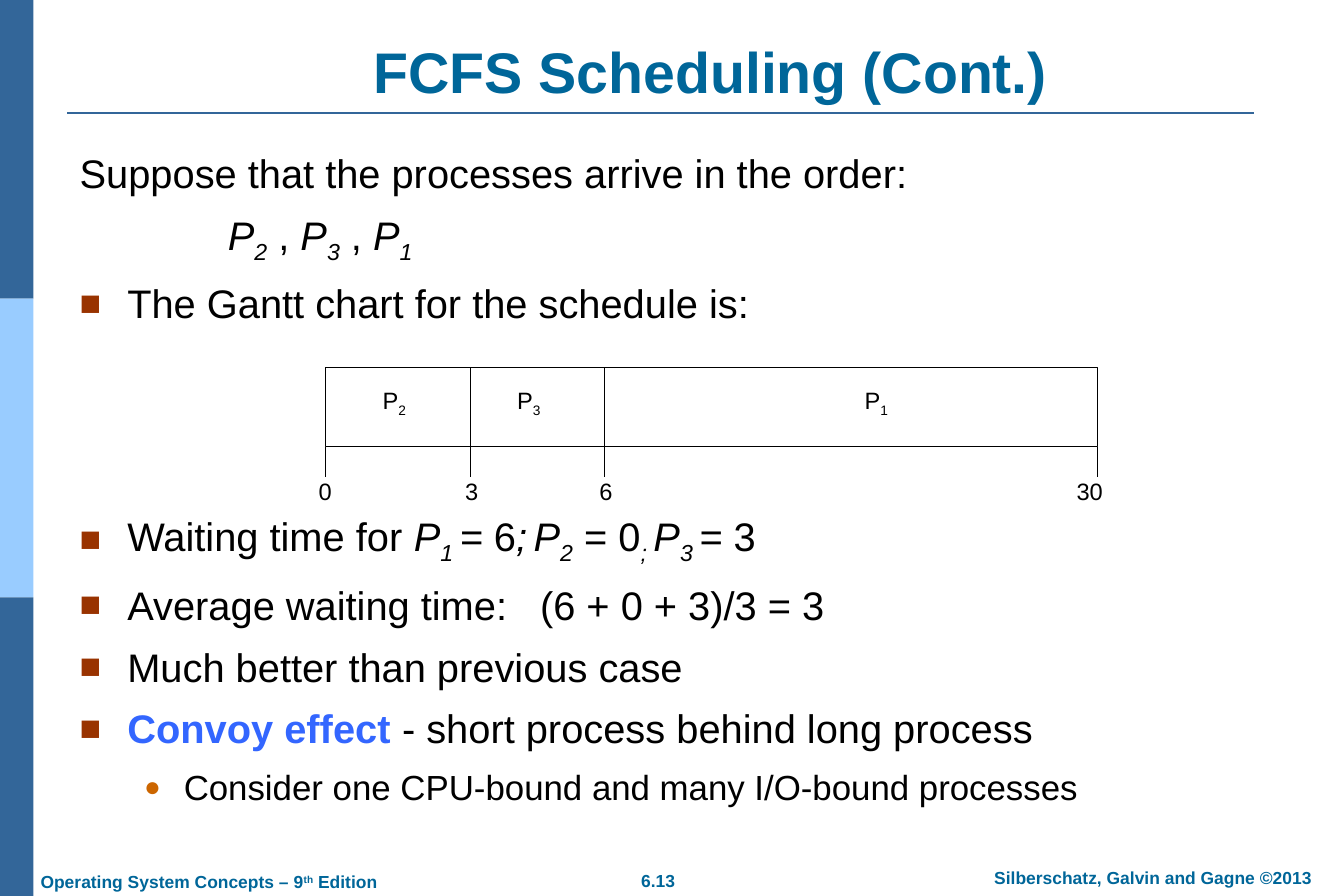
from lxml.etree import SubElement
from pptx import Presentation
from pptx.dml.color import RGBColor
from pptx.enum.shapes import MSO_CONNECTOR as Connector, MSO_SHAPE as Shape
from pptx.enum.text import MSO_ANCHOR as Anchor, PP_ALIGN as Align
from pptx.oxml.ns import qn
from pptx.util import Cm, Pt

FONT = "Arial"
WHITE = RGBColor(0xFF, 0xFF, 0xFF)
BLACK = RGBColor(0x00, 0x00, 0x00)
STEEL = RGBColor(0x33, 0x66, 0x99)
SKY = RGBColor(0x99, 0xCC, 0xFF)
TEAL = RGBColor(0x00, 0x66, 0x99)
TERM_BLUE = RGBColor(0x33, 0x66, 0xFF)
RUST = RGBColor(0x99, 0x33, 0x00)
ORANGE = RGBColor(0xCC, 0x66, 0x00)

WIDTH, HEIGHT = 38.1, 25.4
SUBSCRIPT, SUPERSCRIPT = -25000, 30000

GANTT_TOP, GANTT_BOTTOM, TICK_BOTTOM = 10.41, 12.67, 13.51
GANTT_LABEL_WIDTH, GANTT_LABEL_HEIGHT = 2.4, 1.07
BOUNDARIES = [9.22, 13.34, 17.15, 31.12]
PROCESSES = [("2", 11.18), ("3", 14.99), ("1", 24.84)]
TIMES = [("0", 9.22), ("3", 13.37), ("6", 17.18), ("30", 30.89)]

ORDER = [("P", "i"), ("2", "is"), (" , ", ""), ("P", "i"), ("3", "is"),
         (" , ", ""), ("P", "i"), ("1", "is")]
WAITING = [("Waiting time for ", ""), ("P", "i"), ("1 ", "is"), ("=", "i"),
           (" 6", ""), (";", "i"), (" ", "is"), ("P", "i"), ("2", "is"),
           (" = 0", ""), ("; ", "is"), ("P", "i"), ("3 ", "is"), ("= ", "i"), ("3", "")]


def add_rectangle(slide, left, top, width, height, fill, line=None):
    shape = slide.shapes.add_shape(Shape.RECTANGLE, Cm(left), Cm(top), Cm(width), Cm(height))
    shape.shadow.inherit = False
    shape.fill.solid()
    shape.fill.fore_color.rgb = fill
    if line is None:
        shape.line.fill.background()
    else:
        shape.line.color.rgb = line
        shape.line.width = Pt(0.75)


def add_line(slide, x1, y1, x2, y2, color=BLACK, weight=0.75):
    line = slide.shapes.add_connector(Connector.STRAIGHT, Cm(x1), Cm(y1), Cm(x2), Cm(y2))
    line.line.color.rgb = color
    line.line.width = Pt(weight)
    SubElement(line._element.spPr, qn("a:effectLst"))


def add_text_frame(slide, left, top, width, height, anchor=Anchor.TOP, wrap=True):
    frame = slide.shapes.add_textbox(Cm(left), Cm(top), Cm(width), Cm(height)).text_frame
    frame.word_wrap = wrap
    frame.vertical_anchor = anchor
    frame.margin_left = frame.margin_right = Cm(0.36)
    frame.margin_top = frame.margin_bottom = Cm(0.18)
    return frame


def write_runs(paragraph, runs, size, color=BLACK):
    """Write (text, style) runs; style letters: b bold, i italic, s sub, u super, t term."""
    for text, style in runs:
        run = paragraph.add_run()
        run.text = text
        font = run.font
        font.name = FONT
        font.size = Pt(size)
        font.bold = "b" in style
        font.italic = "i" in style
        font.color.rgb = TERM_BLUE if "t" in style else color
        if "s" in style or "u" in style:
            baseline = SUBSCRIPT if "s" in style else SUPERSCRIPT
            run._r.get_or_add_rPr().set("baseline", str(baseline))


def add_label(slide, center, top, width, height, runs, size, color=BLACK,
              align=Align.CENTER, anchor=Anchor.TOP):
    frame = add_text_frame(slide, center - width / 2, top, width, height, anchor, wrap=False)
    paragraph = frame.paragraphs[0]
    paragraph.alignment = align
    write_runs(paragraph, runs, size, color)


def add_gantt_label(slide, center, top, runs):
    add_label(slide, center, top, GANTT_LABEL_WIDTH, GANTT_LABEL_HEIGHT, runs, 19,
              anchor=Anchor.MIDDLE)


def set_indent(paragraph, margin, hanging=0.0):
    properties = paragraph._p.get_or_add_pPr()
    properties.set("marL", str(Cm(margin)))
    properties.set("indent", str(Cm(-hanging)))
    return properties


def set_bullet(paragraph, symbol, color, percent, margin, hanging):
    properties = set_indent(paragraph, margin, hanging)
    bullet_color = SubElement(properties, qn("a:buClr"))
    SubElement(bullet_color, qn("a:srgbClr"), val=str(color))
    SubElement(properties, qn("a:buSzPct"), val=str(percent * 1000))
    SubElement(properties, qn("a:buFont"), typeface=FONT)
    SubElement(properties, qn("a:buChar"), char=symbol)


def set_tab(paragraph, position):
    tabs = SubElement(paragraph._p.get_or_add_pPr(), qn("a:tabLst"))
    SubElement(tabs, qn("a:tab"), pos=str(Cm(position)), algn="l")


def add_body_paragraph(frame, runs, level=0, bullet=True):
    """Append a paragraph, using the empty first one if it is still free."""
    paragraph = frame.paragraphs[0]
    if paragraph.runs:
        paragraph = frame.add_paragraph()
        paragraph.space_before = Pt(11.2)
    paragraph.level = level
    write_runs(paragraph, runs, 32 if level == 0 else 28)
    if bullet and level == 0:
        set_bullet(paragraph, "■", RUST, 90, 1.35, 1.35)
    elif bullet:
        set_bullet(paragraph, "●", ORANGE, 80, 2.95, 1.12)
    return paragraph


def add_frame(slide):
    """Draw the side bars, the title rule and the footer."""
    bar_height = HEIGHT / 3
    for index, color in enumerate([STEEL, SKY, STEEL]):
        add_rectangle(slide, 0, index * bar_height, 0.95, bar_height, color)
    add_line(slide, 1.9, 3.2, 35.56, 3.2, STEEL, 1.5)
    add_label(slide, 18.66, 24.49, 1.75, 0.9, [("6.13", "b")], 14, TEAL)
    add_label(slide, 32.69, 24.41, 10.8, 0.9,
              [("Silberschatz, Galvin and Gagne ©2013", "b")], 14, TEAL)
    edition = [("Operating System Concepts – 9", "b"), ("th", "bu"), (" Edition", "b")]
    add_label(slide, 5.99, 24.51, 10.4, 0.88, edition, 14, TEAL, Align.LEFT)


def add_body(slide):
    upper = add_text_frame(slide, 1.9, 4.04, 34.3, 6)
    add_body_paragraph(upper, [("Suppose that the processes arrive in the order:", "")],
                       bullet=False)
    set_indent(add_body_paragraph(upper, ORDER, bullet=False), 4.2)
    add_body_paragraph(upper, [("The Gantt chart for the schedule is:", "")])

    lower = add_text_frame(slide, 1.9, 14.34, 34.3, 8.8)
    add_body_paragraph(lower, WAITING)
    average = add_body_paragraph(lower, [("Average waiting time:\t(6 + 0 + 3)/3 = 3", "")])
    set_tab(average, 13.05)
    add_body_paragraph(lower, [("Much better than previous case", "")])
    add_body_paragraph(lower, [("Convoy effect ", "bt"),
                               ("- short process behind long process", "")])
    add_body_paragraph(lower, [("Consider one CPU-bound and many I/O-bound processes", "")],
                       level=1)


def add_gantt_chart(slide):
    start, *dividers, end = BOUNDARIES
    add_rectangle(slide, start, GANTT_TOP, end - start, GANTT_BOTTOM - GANTT_TOP, WHITE, BLACK)
    for x in dividers:
        add_line(slide, x, GANTT_TOP, x, GANTT_BOTTOM)
    for x in BOUNDARIES:
        add_line(slide, x, GANTT_BOTTOM, x, TICK_BOTTOM)
    for number, center in PROCESSES:
        add_gantt_label(slide, center, 10.85, [("P", ""), (number, "s")])
    for time, center in TIMES:
        add_gantt_label(slide, center, 13.39, [(time, "")])


def main():
    presentation = Presentation()
    presentation.slide_width = Cm(WIDTH)
    presentation.slide_height = Cm(HEIGHT)
    slide = presentation.slides.add_slide(presentation.slide_layouts[6])
    add_frame(slide)
    add_label(slide, 20.14, 1.02, 32.1, 2.13, [("FCFS Scheduling (Cont.)", "b")], 46, TEAL,
              anchor=Anchor.BOTTOM)
    add_body(slide)
    add_gantt_chart(slide)
    presentation.save("out.pptx")


if __name__ == "__main__":
    main()
